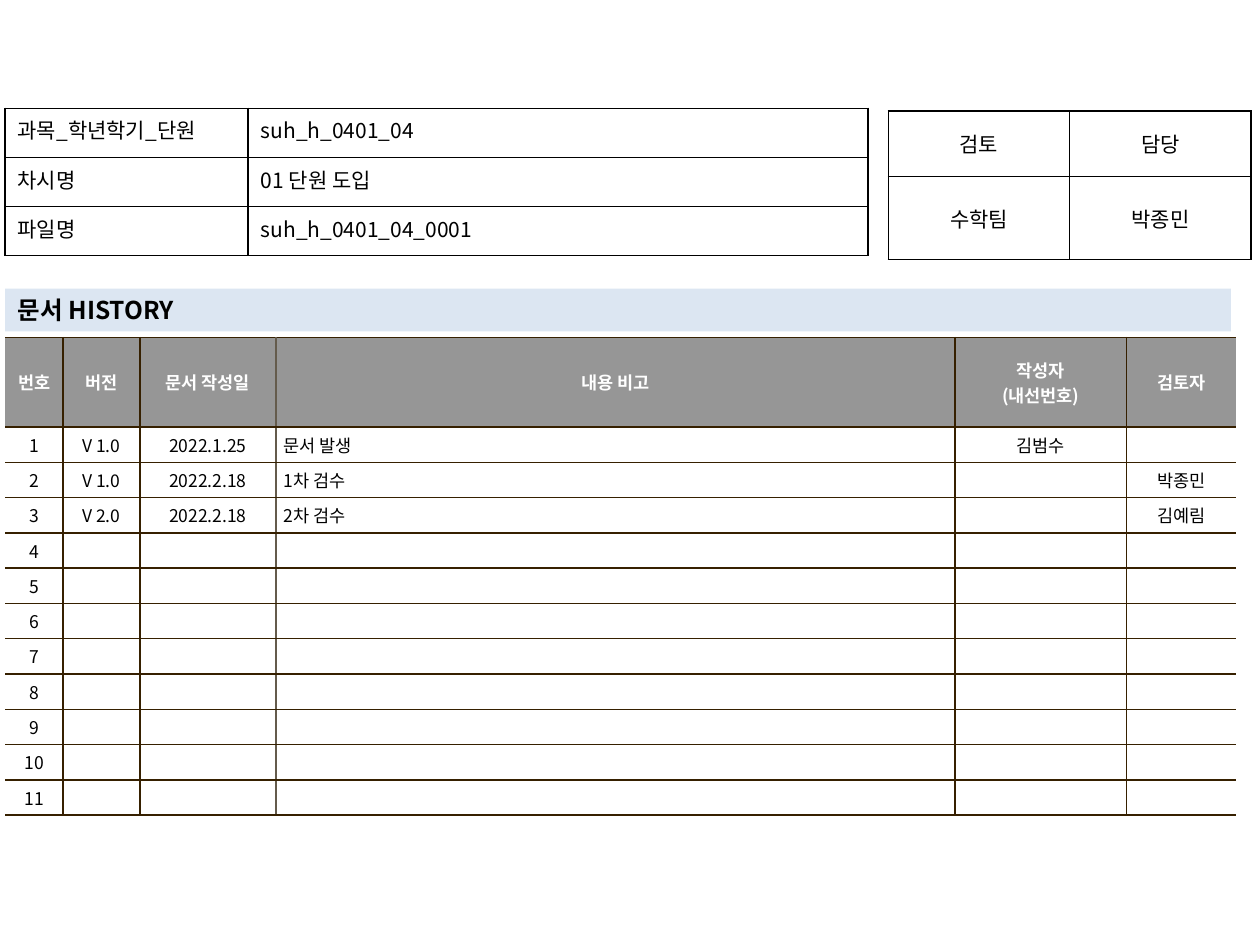
from lxml import etree
from pptx import Presentation
from pptx.dml.color import RGBColor
from pptx.enum.text import MSO_ANCHOR, MSO_AUTO_SIZE, PP_ALIGN
from pptx.oxml.ns import qn
from pptx.util import Inches, Pt

LEFT, CENTER, JUSTIFY = PP_ALIGN.LEFT, PP_ALIGN.CENTER, PP_ALIGN.JUSTIFY
TOP, MIDDLE = MSO_ANCHOR.TOP, MSO_ANCHOR.MIDDLE
TITLE_ONLY = 5

BLACK, WHITE = "000000", "FFFFFF"
HEADER_GRAY, BAND_BLUE = "969696", "DCE6F2"
BROWN, LIGHT_BROWN = "362000", "645B4C"


def rgb(hex_color):
    return RGBColor.from_string(hex_color)


class SlideBuilder:
    font_name = "Noto Sans CJK KR"

    def __init__(self, slide):
        self.slide = slide

    def set_text(self, text_frame, text, align, size, color=BLACK, bold=False):
        text_frame.text = text
        values = {"name": self.font_name, "size": Pt(size), "bold": bold}
        for paragraph in text_frame.paragraphs:
            paragraph.alignment = align
            for run in paragraph.runs:
                for key, value in values.items():
                    setattr(run.font, key, value)
                run.font.color.rgb = rgb(color)
                # Korean letters take the East Asian typeface
                latin = run._r.get_or_add_rPr().find(qn("a:latin"))
                latin.addnext(
                    etree.Element(qn("a:ea"), typeface=self.font_name))
            if not paragraph.runs:  # keeps empty rows from growing
                etree.SubElement(paragraph._p, qn("a:endParaRPr"),
                                 sz=str(size * 100))

    def title(self, text, box, fill):
        title = self.slide.shapes.title
        title.left, title.top, title.width, title.height = map(Inches, box)
        title.fill.solid()
        title.fill.fore_color.rgb = rgb(fill)
        frame = title.text_frame
        frame.auto_size = MSO_AUTO_SIZE.NONE
        frame.vertical_anchor = MIDDLE
        self.set_text(frame, text, LEFT, 14, bold=True)

    def table(self, left, top, widths, heights):
        frame = self.slide.shapes.add_table(
            len(heights), len(widths), Inches(left), Inches(top),
            Inches(sum(widths)), Inches(sum(heights)))
        table = frame.table
        table.first_row = table.horz_banding = False
        for column, width in zip(table.columns, widths):
            column.width = Inches(width)
        for row, height in zip(table.rows, heights):
            row.height = Inches(height)
        return table

    def cell(self, cell, text, align, size, anchor, margins, borders,
             fill=None, **text_style):
        """Borders run left, right, top, bottom; None leaves a side open."""
        cell.vertical_anchor = anchor
        cell.margin_left = cell.margin_right = Inches(margins[0])
        cell.margin_top = cell.margin_bottom = Inches(margins[1])
        self.set_text(cell.text_frame, text, align, size, **text_style)
        for side, color in zip("LRTB", borders):
            line = etree.SubElement(cell._tc.get_or_add_tcPr(),
                                    qn(f"a:ln{side}"), w=str(Pt(1)))
            if color:
                solid = etree.SubElement(line, qn("a:solidFill"))
                etree.SubElement(solid, qn("a:srgbClr"), val=color)
            else:
                etree.SubElement(line, qn("a:noFill"))
        if fill:
            cell.fill.solid()
            cell.fill.fore_color.rgb = rgb(fill)
        else:
            cell.fill.background()

    def info_table(self, left, top, widths, heights, rows, aligns, anchor):
        table = self.table(left, top, widths, heights)
        for r, row in enumerate(rows):
            for c, text in enumerate(row):
                self.cell(table.cell(r, c), text, aligns[c], 12, anchor,
                          (0.1, 0.05), [BLACK] * 4)

    def history_table(self, left, top, widths, heights, rows, note_column):
        table = self.table(left, top, widths, heights)
        edges = [None] + [BROWN] * (len(widths) - 1) + [None]
        edges[note_column] = LIGHT_BROWN
        for r, row in enumerate(rows):
            header = r == 0
            for c, text in enumerate(row):
                align = LEFT if c == note_column and not header else CENTER
                self.cell(table.cell(r, c), text, align, 10, MIDDLE,
                          (0.06, 0.04), (edges[c], edges[c + 1], BROWN, BROWN),
                          fill=HEADER_GRAY if header else WHITE,
                          color=WHITE if header else BLACK, bold=header)


def main():
    prs = Presentation()
    prs.slide_width, prs.slide_height = Inches(10), Inches(7.5)
    builder = SlideBuilder(
        prs.slides.add_slide(prs.slide_layouts[TITLE_ONLY]))

    margin = 0.04
    builder.title("문서 HISTORY", (margin, 2.29, 9.73, 0.34), BAND_BLUE)

    header = ["번호", "버전", "문서 작성일", "내용 비고",
              "작성자\n(내선번호)", "검토자"]
    revisions = [
        ["V 1.0", "2022.1.25", "문서 발생", "김범수", ""],
        ["V 1.0", "2022.2.18", "1차 검수", "", "박종민"],
        ["V 2.0", "2022.2.18", "2차 검수", "", "김예림"],
    ]
    entry_count = 11
    revisions += [[""] * 5] * (entry_count - len(revisions))
    entries = [[str(number), *revision]
               for number, revision in enumerate(revisions, 1)]
    builder.history_table(
        margin, 2.68, [0.46, 0.61, 1.08, 5.39, 1.36, 0.87],
        [0.71] + [0.25] * entry_count, [header, *entries], note_column=3)

    builder.info_table(
        7.05, 0.88, [1.44, 1.44], [0.52, 0.66],
        [["검토", "담당"], ["수학팀", "박종민"]], [CENTER, CENTER], MIDDLE)

    builder.info_table(
        margin, 0.86, [1.93, 4.92], [0.39] * 3,
        [["과목_학년학기_단원", "suh_h_0401_04"],
         ["차시명", "01 단원 도입"],
         ["파일명", "suh_h_0401_04_0001"]], [JUSTIFY, LEFT], TOP)

    prs.save("out.pptx")


if __name__ == "__main__":
    main()
